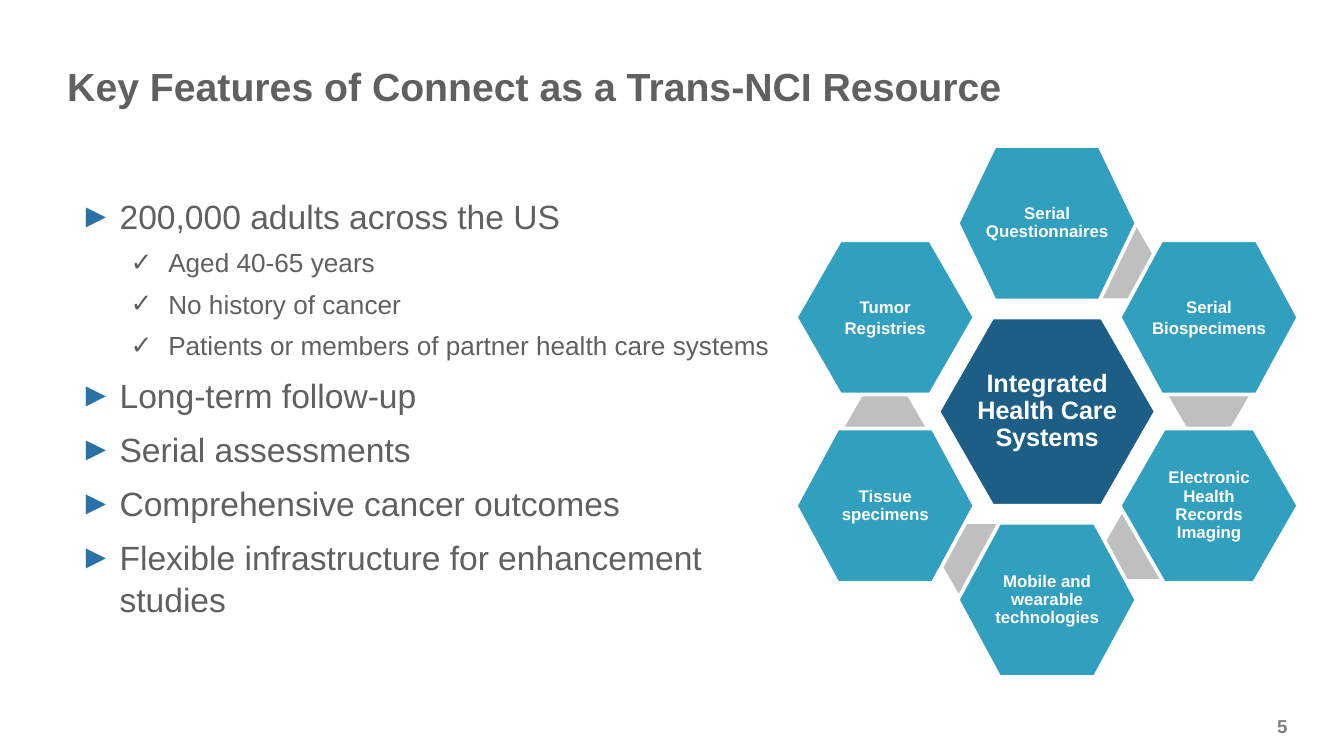
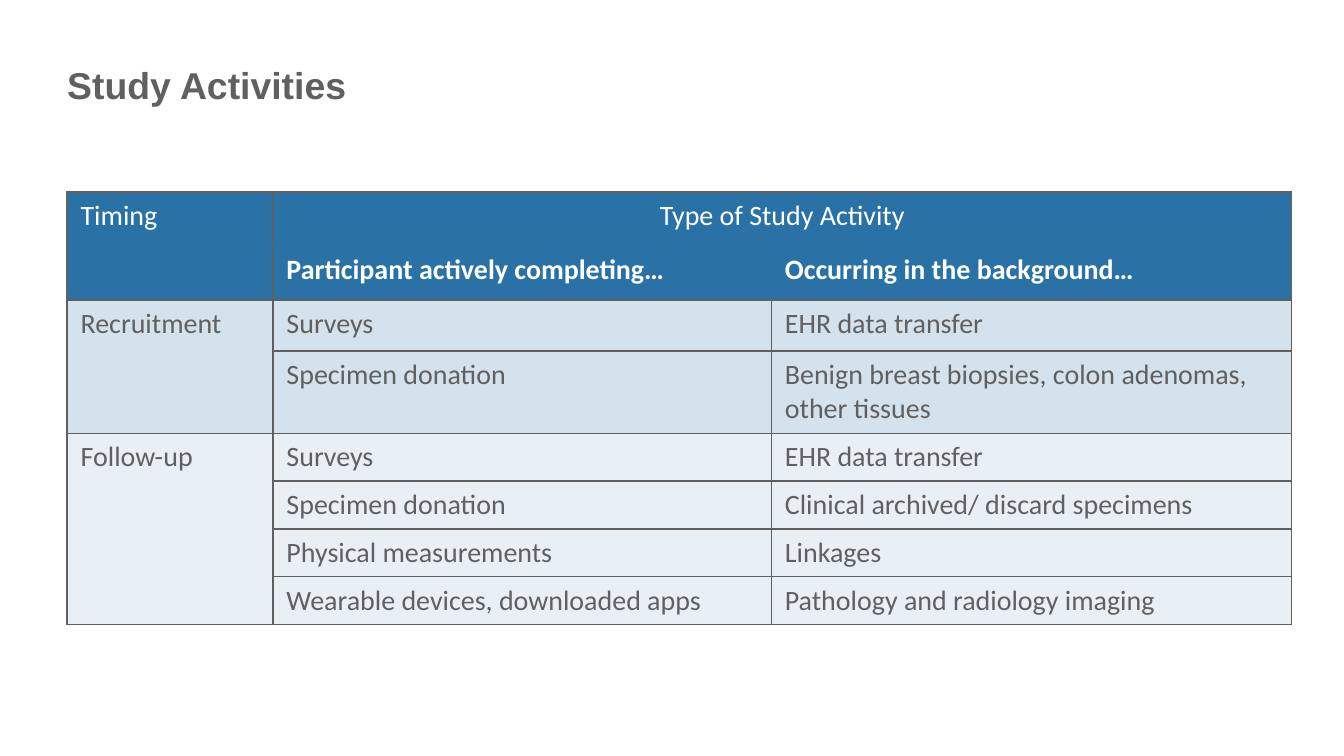
from dataclasses import dataclass

from lxml import etree
from pptx import Presentation
from pptx.dml.color import RGBColor
from pptx.enum.shapes import MSO_SHAPE as Preset
from pptx.enum.text import MSO_ANCHOR as Anchor
from pptx.enum.text import MSO_AUTO_SIZE as AutoSize
from pptx.enum.text import PP_ALIGN as Align
from pptx.oxml.ns import qn
from pptx.util import Cm, Pt

COLORS = {
    "text": "606060",
    "number": "7F7F7F",
    "accent": "2A72A5",
    "hub": "1C5E86",
    "feature": "319FBE",
    "link": "BFBFBF",
    "white": "FFFFFF",
}


@dataclass(frozen=True)
class Bullet:
    text: str
    level: int = 0
    before: float = 0
    after: float = 0


@dataclass(frozen=True)
class BulletStyle:
    size: float
    indent: float
    hanging: float
    symbol: str
    color: str


@dataclass(frozen=True)
class Hexagon:
    """A hexagon; column and row count steps from the hub, lengths are in cm."""
    text: str
    column: float
    row: float
    notch: float
    inset: float = 0.58
    spacing: float = 0.9
    width: float = 3.38
    height: float = 2.92
    color: str = "feature"
    size: float = 9


BULLET_STYLES = [
    BulletStyle(18, 0.76, 0.76, "►", "accent"),
    BulletStyle(14, 1.68, 0.71, "✓", "text"),
]
BULLETS = [
    Bullet("200,000 adults across the US", after=4.5),
    Bullet("Aged 40-65 years", 1, after=4.5),
    Bullet("No history of cancer", 1, after=4.5),
    Bullet("Patients or members of partner health care systems", 1),
    Bullet("Long-term follow-up", before=6),
    Bullet("Serial assessments", before=6),
    Bullet("Comprehensive cancer outcomes", before=6),
    Bullet("Flexible infrastructure for enhancement studies", before=6),
]

HUB_CENTER = (19.79, 7.78)
RING_STEP = (3.06, 3.56)
HEXAGONS = [
    Hexagon("Integrated Health Care Systems", 0, 0, 1.02, inset=0.65,
            width=4.11, height=3.56, color="hub", size=13.5),
    Hexagon("Serial Questionnaires", 0, -1, 0.7, inset=0.25),
    Hexagon("Serial Biospecimens", 1, -0.5, 0.79, spacing=1),
    Hexagon("Electronic Health Records Imaging", 1, 0.5, 0.84),
    Hexagon("Mobile and wearable technologies", 0, 1, 0.79),
    Hexagon("Tissue specimens", -1, 0.5, 0.79),
    Hexagon("Tumor Registries", -1, -0.5, 0.84, spacing=1),
]
LINK_SIZE = (1.55, 1.35)
LINK_CORNERS = [(20.32, 4.29), (20.88, 9.6), (17.75, 9.91), (22.07, 6.78), (15.95, 7.42)]

HEADER_ROWS = 2
COLUMN_WIDTHS = [3.89, 9.42, 9.83]
ROW_HEIGHTS = [1.02, 1.02, 0.97, 1.52] + [0.89] * 4
ACTIVITIES = [
    ("Timing", "Type of Study Activity", ""),
    ("", "Participant actively completing…", "Occurring in the background…"),
    ("Recruitment", "Surveys", "EHR data transfer"),
    ("", "Specimen donation", "Benign breast biopsies, colon adenomas, other tissues"),
    ("Follow-up", "Surveys", "EHR data transfer"),
    ("", "Specimen donation", "Clinical archived/ discard specimens"),
    ("", "Physical measurements", "Linkages"),
    ("", "Wearable devices, downloaded apps", "Pathology and radiology imaging"),
]
MERGES = [((0, 0), (1, 0)), ((0, 1), (0, 2)), ((2, 0), (3, 0)), ((4, 0), (7, 0))]
ROW_OPACITY = [100] * HEADER_ROWS + [20] * 2 + [10] * 4


def rgb(name: str) -> RGBColor:
    return RGBColor.from_string(COLORS[name])


def write_text(paragraph, text: str, *, size: float, color: str = "text",
               font: str = "Arial", bold: bool = False, align=Align.LEFT,
               spacing: float = 1.0, before: float = 0, after: float = 0) -> None:
    paragraph.alignment = align
    paragraph.line_spacing = spacing
    paragraph.space_before = Pt(before)
    paragraph.space_after = Pt(after)
    run = paragraph.add_run()
    run.text = text
    run.font.name = font
    run.font.size = Pt(size)
    run.font.bold = bold
    run.font.color.rgb = rgb(color)


def prepare_frame(shape, horizontal: float = 0, vertical: float = 0, anchor=Anchor.TOP):
    """Set insets in cm, wrapping and anchor; return the text frame."""
    frame = shape.text_frame
    frame.word_wrap = True
    frame.auto_size = AutoSize.NONE
    frame.vertical_anchor = anchor
    frame.margin_left = frame.margin_right = Cm(horizontal)
    frame.margin_top = frame.margin_bottom = Cm(vertical)
    return frame


def place(shape, left: float, top: float, width: float, height: float) -> None:
    shape.left, shape.top = Cm(left), Cm(top)
    shape.width, shape.height = Cm(width), Cm(height)


def add_titled_slide(presentation, layout: int, title: str, size: float):
    slide = presentation.slides.add_slide(presentation.slide_layouts[layout])
    place(slide.shapes.title, 1.27, 1.17, 22.86, 1.85)
    frame = prepare_frame(slide.shapes.title)
    write_text(frame.paragraphs[0], title, size=size, bold=True)
    return slide


def add_slide_number(slide, number: int) -> None:
    box = slide.shapes.add_textbox(Cm(23.47), Cm(13.51), Cm(0.86), Cm(0.51))
    write_text(prepare_frame(box).paragraphs[0], str(number), size=10,
               color="number", bold=True, align=Align.RIGHT)


def set_bullet(paragraph, style: BulletStyle) -> None:
    properties = paragraph._p.get_or_add_pPr()
    properties.set("marL", str(Cm(style.indent)))
    properties.set("indent", str(-Cm(style.hanging)))
    color = etree.SubElement(properties, qn("a:buClr"))
    etree.SubElement(color, qn("a:srgbClr"), val=COLORS[style.color])
    etree.SubElement(properties, qn("a:buFont"), typeface="Arial")
    etree.SubElement(properties, qn("a:buChar"), char=style.symbol)


def fill_bullets(body, bullets: list[Bullet]) -> None:
    place(body, 1.32, 3.56, 13.67, 8)
    frame = prepare_frame(body, 0.18, 0.1)
    for index, bullet in enumerate(bullets):
        paragraph = frame.add_paragraph() if index else frame.paragraphs[0]
        style = BULLET_STYLES[bullet.level]
        paragraph.level = bullet.level
        set_bullet(paragraph, style)
        write_text(paragraph, bullet.text, size=style.size, spacing=1.06,
                   before=bullet.before, after=bullet.after)


def add_link(slide, left: float, top: float) -> None:
    width, height = LINK_SIZE
    shape = slide.shapes.add_shape(Preset.HEXAGON, Cm(left), Cm(top), Cm(width), Cm(height))
    shape.adjustments[0] = 0.29
    shape.shadow.inherit = False
    shape.fill.solid()
    shape.fill.fore_color.rgb = rgb("link")
    shape.line.fill.background()


def add_hexagon(slide, hexagon: Hexagon) -> None:
    center_x = HUB_CENTER[0] + hexagon.column * RING_STEP[0]
    middle = HUB_CENTER[1] + hexagon.row * RING_STEP[1]
    left, right = center_x - hexagon.width / 2, center_x + hexagon.width / 2
    top, bottom = middle - hexagon.height / 2, middle + hexagon.height / 2
    inner_left, inner_right = left + hexagon.notch, right - hexagon.notch
    corners = [(inner_left, top), (inner_right, top), (right, middle),
               (inner_right, bottom), (inner_left, bottom)]
    builder = slide.shapes.build_freeform(Cm(left), Cm(middle))
    builder.add_line_segments([(Cm(x), Cm(y)) for x, y in corners], close=True)
    shape = builder.convert_to_shape()
    shape.shadow.inherit = False
    shape.fill.solid()
    shape.fill.fore_color.rgb = rgb(hexagon.color)
    shape.line.color.rgb = rgb("white")
    shape.line.width = Pt(2)
    frame = prepare_frame(shape, hexagon.inset, 0.5, Anchor.MIDDLE)
    write_text(frame.paragraphs[0], hexagon.text, size=hexagon.size, color="white",
               bold=True, align=Align.CENTER, spacing=hexagon.spacing)


def fill_cell(cell, opacity: int) -> None:
    cell.fill.solid()
    cell.fill.fore_color.rgb = rgb("accent")
    if opacity < 100:
        color = cell._tc.tcPr.find(".//" + qn("a:srgbClr"))
        etree.SubElement(color, qn("a:alpha"), val=str(opacity * 1000))


def set_borders(cell, hidden_sides: str) -> None:
    """Outline a cell, blending the sides named in hidden_sides into the header."""
    properties = cell._tc.get_or_add_tcPr()
    for index, side in enumerate("LRTB"):
        line = etree.Element(qn(f"a:ln{side}"), w=str(Pt(1)))
        fill = etree.SubElement(line, qn("a:solidFill"))
        name = "accent" if side in hidden_sides else "text"
        etree.SubElement(fill, qn("a:srgbClr"), val=COLORS[name])
        properties.insert(index, line)


def add_activity_table(slide) -> None:
    table = slide.shapes.add_table(
        len(ROW_HEIGHTS), len(COLUMN_WIDTHS), Cm(1.27), Cm(3.63),
        Cm(sum(COLUMN_WIDTHS)), Cm(sum(ROW_HEIGHTS))).table
    table.first_row = table.horz_banding = False
    for column, width in zip(table.columns, COLUMN_WIDTHS):
        column.width = Cm(width)
    for row, height in zip(table.rows, ROW_HEIGHTS):
        row.height = Cm(height)
    hidden_sides = {(0, 1): "B", (0, 2): "B", (1, 1): "TR", (1, 2): "TL"}
    for row, texts in enumerate(ACTIVITIES):
        for column, text in enumerate(texts):
            cell = table.cell(row, column)
            fill_cell(cell, ROW_OPACITY[row])
            set_borders(cell, hidden_sides.get((row, column), ""))
            if text:
                write_text(cell.text_frame.paragraphs[0], text, size=15, font="Calibri",
                           color="white" if row < HEADER_ROWS else "text", bold=row == 1,
                           align=Align.CENTER if (row, column) == (0, 1) else Align.LEFT)
    for first, last in MERGES:
        table.cell(*first).merge(table.cell(*last))


def main() -> None:
    presentation = Presentation()
    presentation.slide_width, presentation.slide_height = Cm(25.4), Cm(14.29)

    features = add_titled_slide(
        presentation, 1, "Key Features of Connect as a Trans-NCI Resource", 21)
    add_slide_number(features, 5)
    for corner in LINK_CORNERS:
        add_link(features, *corner)
    for hexagon in HEXAGONS:
        add_hexagon(features, hexagon)
    fill_bullets(features.placeholders[1], BULLETS)

    activities = add_titled_slide(presentation, 5, "Study Activities", 20)
    add_activity_table(activities)

    presentation.save("out.pptx")


if __name__ == "__main__":
    main()
